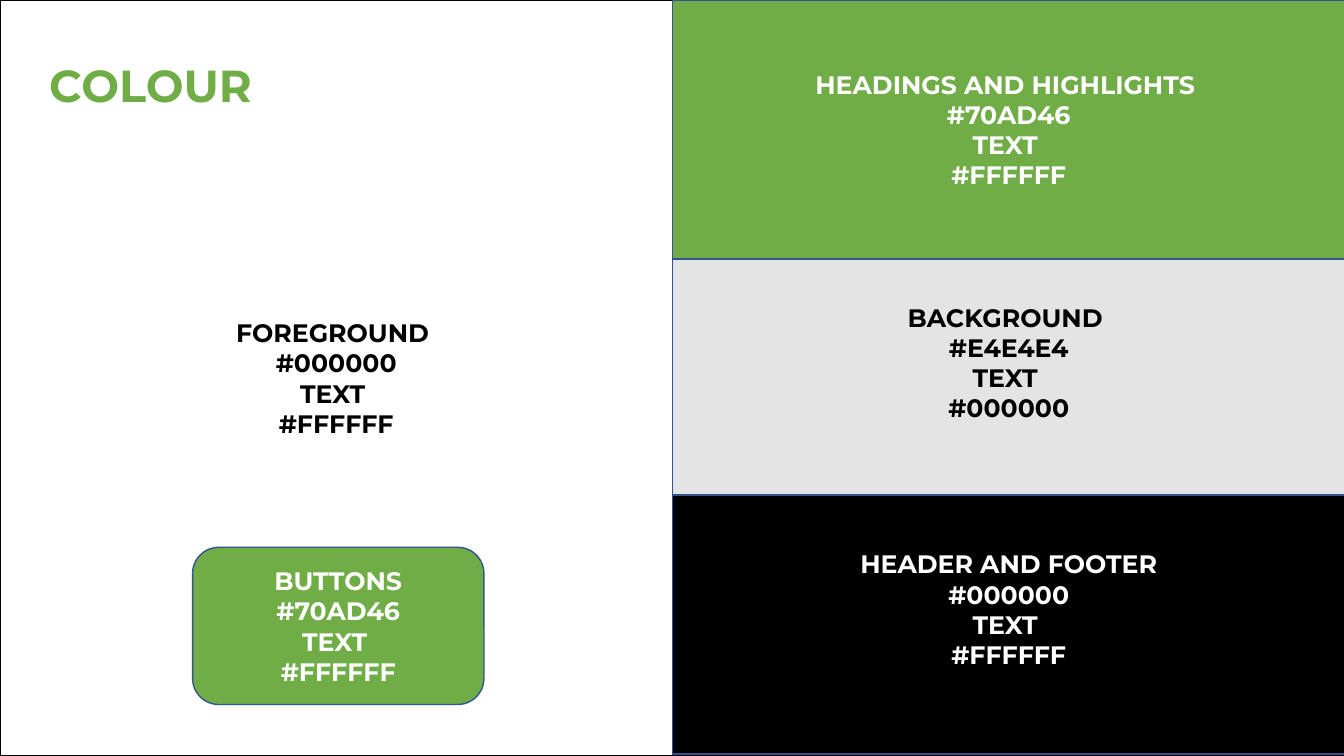
from dataclasses import dataclass

from pptx import Presentation
from pptx import util as u
from pptx.dml.color import RGBColor
from pptx.enum import shapes, text

FONT = "Montserrat"
GREEN, GREY, BLACK, WHITE, BLUE = "70AD47", "E4E4E4", "000000", "FFFFFF", "325491"
SLIDE_WIDTH, SLIDE_HEIGHT = 13.33, 7.5
HALF_WIDTH = 6.67
RECTANGLE = shapes.MSO_SHAPE.RECTANGLE
ROUNDED = shapes.MSO_SHAPE.ROUNDED_RECTANGLE


@dataclass
class Swatch:
    """A filled panel that names a colour role and its hex codes."""
    label: str
    colour_code: str
    text_code: str
    box: tuple[float, float, float, float]
    fill: str
    font_colour: str
    line: str = BLUE
    kind: shapes.MSO_SHAPE = RECTANGLE
    bottom_margin: float = 0.05


SWATCHES = [
    Swatch("FOREGROUND ", "#000000", "#FFFFFF", (0, 0, HALF_WIDTH, SLIDE_HEIGHT),
           WHITE, BLACK, line=BLACK),
    Swatch("HEADINGS AND HIGHLIGHTS ", "#70AD46", "#FFFFFF",
           (HALF_WIDTH, 0, HALF_WIDTH, 2.57), GREEN, WHITE),
    Swatch("BACKGROUND ", "#E4E4E4", "#000000",
           (HALF_WIDTH, 2.57, HALF_WIDTH, 2.35), GREY, BLACK, bottom_margin=0.35),
    Swatch("HEADER AND FOOTER", "#000000", "#FFFFFF",
           (HALF_WIDTH, 4.91, HALF_WIDTH, 2.57), BLACK, WHITE, bottom_margin=0.35),
    Swatch("BUTTONS", "#70AD46", "#FFFFFF", (1.91, 5.43, 2.89, 1.56),
           GREEN, WHITE, kind=ROUNDED),
]


def colour(value: str) -> RGBColor:
    return RGBColor.from_string(value)


def apply(target, values: dict) -> None:
    for name, value in values.items():
        setattr(target, name, value)


def write_lines(shape, lines: list[str], size: int, font_colour: str, alignment) -> None:
    frame = shape.text_frame
    apply(frame, {"word_wrap": True, "vertical_anchor": text.MSO_ANCHOR.MIDDLE})
    for index, line in enumerate(lines):
        paragraph = frame.paragraphs[0] if index == 0 else frame.add_paragraph()
        paragraph.alignment = alignment
        run = paragraph.add_run()
        run.text = line
        apply(run.font, {"name": FONT, "size": u.Pt(size), "bold": True})
        run.font.color.rgb = colour(font_colour)


def draw_swatch(slide, swatch: Swatch) -> None:
    shape = slide.shapes.add_shape(swatch.kind, *map(u.Inches, swatch.box))
    shape.shadow.inherit = False
    shape.fill.solid()
    shape.fill.fore_color.rgb = colour(swatch.fill)
    shape.line.color.rgb = colour(swatch.line)
    shape.line.width = u.Pt(1)
    shape.text_frame.margin_bottom = u.Inches(swatch.bottom_margin)
    lines = [swatch.label, swatch.colour_code, "TEXT ", swatch.text_code]
    write_lines(shape, lines, 18, swatch.font_colour, text.PP_ALIGN.CENTER)


def draw_title(slide) -> None:
    title = slide.shapes.add_textbox(*map(u.Inches, (0.39, 0.33, 4.23, 1.01)))
    write_lines(title, ["COLOUR"], 32, GREEN, text.PP_ALIGN.LEFT)


def main() -> None:
    presentation = Presentation()
    apply(presentation, {"slide_width": u.Inches(SLIDE_WIDTH),
                         "slide_height": u.Inches(SLIDE_HEIGHT)})
    slide = presentation.slides.add_slide(presentation.slide_layouts[6])

    # Background
    slide.background.fill.solid()
    slide.background.fill.fore_color.rgb = colour(BLACK)

    # Colour panels and button
    for swatch in SWATCHES:
        draw_swatch(slide, swatch)

    # Heading
    draw_title(slide)
    presentation.save("out.pptx")


if __name__ == "__main__":
    main()
